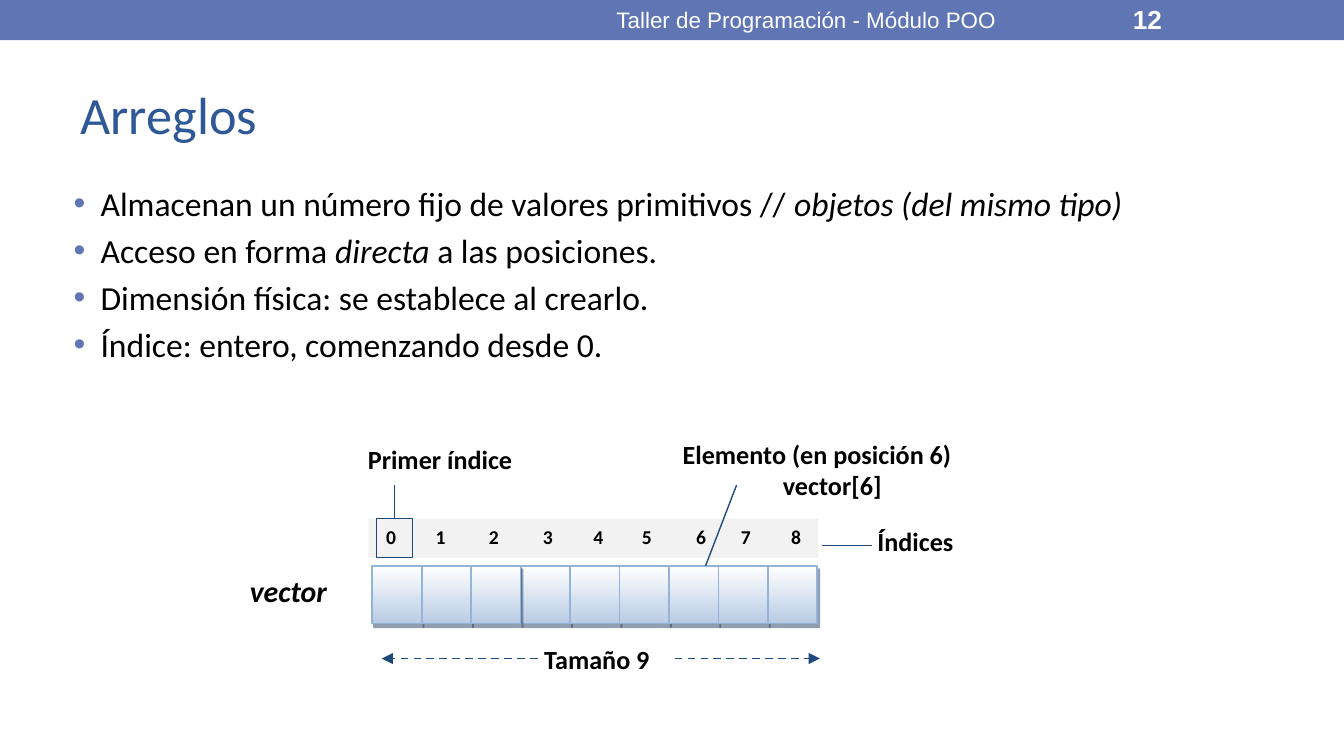
from dataclasses import dataclass
from typing import NamedTuple

from lxml import etree
from pptx import Presentation
from pptx.dml.color import RGBColor
from pptx.enum.dml import MSO_LINE
from pptx.enum.shapes import MSO_CONNECTOR, MSO_SHAPE
from pptx.enum.text import MSO_ANCHOR, PP_ALIGN
from pptx.oxml.ns import qn
from pptx.util import Pt

RECT = MSO_SHAPE.RECTANGLE
STRAIGHT = MSO_CONNECTOR.STRAIGHT
DASH = MSO_LINE.DASH
TOP, MIDDLE = MSO_ANCHOR.TOP, MSO_ANCHOR.MIDDLE
LEFT, CENTER = PP_ALIGN.LEFT, PP_ALIGN.CENTER


@dataclass(frozen=True)
class Theme:
    band: str = "6076B4"
    title: str = "2F5897"
    ink: str = "000000"
    white: str = "FFFFFF"
    rule: str = "1F497D"
    strip: str = "F2F2F2"
    cell_end: str = "B8CCE4"
    cell_edge: str = "95B3D7"
    cell_shadow: str = "243F60"
    body_font: str = "Calibri"
    header_font: str = "Arial"
    title_size: float = 28
    body_size: float = 18
    name_size: float = 16
    label_size: float = 14
    header_size: float = 12
    index_size: float = 10.5


THEME = Theme()


class Box(NamedTuple):
    left: float
    top: float
    width: float
    height: float


class Run(NamedTuple):
    text: str
    size: float = THEME.label_size
    bold: bool = False
    italic: bool = False
    color: str = THEME.ink
    font: str = THEME.body_font


class Label(NamedTuple):
    box: Box
    run: Run
    anchor: MSO_ANCHOR = TOP
    align: PP_ALIGN = LEFT


class Line(NamedTuple):
    start: tuple[float, float]
    end: tuple[float, float]
    width: float = 0.75
    dashed_arrow: bool = False


def rgb(color: str) -> RGBColor:
    return RGBColor.from_string(color)


def place(shape, box: Box) -> None:
    shape.left, shape.top, shape.width, shape.height = map(Pt, box)


def add_run(paragraph, spec: Run) -> None:
    run = paragraph.add_run()
    run.text = spec.text
    font = run.font
    font.name, font.size = spec.font, Pt(spec.size)
    font.bold, font.italic = spec.bold, spec.italic
    font.color.rgb = rgb(spec.color)


def add_label(shapes, label: Label):
    frame = shapes.add_textbox(*map(Pt, label.box)).text_frame
    frame.word_wrap = True
    frame.vertical_anchor = label.anchor
    frame.paragraphs[0].alignment = label.align
    add_run(frame.paragraphs[0], label.run)
    return frame


def add_rect(shapes, box: Box):
    rect = shapes.add_shape(RECT, *map(Pt, box))
    rect.shadow.inherit = False
    return rect


def add_line(shapes, line: Line):
    connector = shapes.add_connector(STRAIGHT, *map(Pt, line.start + line.end))
    connector.line.color.rgb = rgb(THEME.rule)
    connector.line.width = Pt(line.width)
    properties = connector._element.spPr
    if line.dashed_arrow:
        connector.line.dash_style = DASH
        etree.SubElement(properties.find(qn("a:ln")), qn("a:tailEnd"), type="triangle")
    etree.SubElement(properties, qn("a:effectLst"))
    return connector


def add_cell(shapes, box: Box) -> None:
    cell = add_rect(shapes, box)
    cell.fill.gradient()
    cell.fill.gradient_angle = 270
    for stop, color in zip(cell.fill.gradient_stops, (THEME.white, THEME.cell_end)):
        stop.color.rgb = rgb(color)
    cell.line.color.rgb = rgb(THEME.cell_edge)
    cell.line.width = Pt(1)
    effects = cell._element.spPr.find(qn("a:effectLst"))
    shadow = etree.SubElement(effects, qn("a:outerShdw"), blurRad="0", dist=str(Pt(2.2)),
                              dir=str(63 * 60000), algn="ctr", rotWithShape="0")
    tint = etree.SubElement(shadow, qn("a:srgbClr"), val=THEME.cell_shadow)
    etree.SubElement(tint, qn("a:alpha"), val="50000")


def set_bullet(paragraph) -> None:
    properties = paragraph._p.get_or_add_pPr()
    properties.set("marL", str(Pt(14.4)))
    properties.set("indent", str(Pt(-14.4)))
    color = etree.SubElement(properties, qn("a:buClr"))
    etree.SubElement(color, qn("a:srgbClr"), val=THEME.band)
    etree.SubElement(properties, qn("a:buFont"), typeface=THEME.header_font)
    etree.SubElement(properties, qn("a:buChar"), char="•")


def body(text: str, italic: bool = False) -> Run:
    return Run(text, THEME.body_size, italic=italic)


BULLETS = [
    [body("Almacenan un número fijo de valores primitivos // "),
     body("objetos (del mismo tipo)", True)],
    [body("Acceso en forma "), body("directa ", True), body("a las posiciones.")],
    [body("Dimensión física: se establece al crearlo.")],
    [body("Índice: entero, comenzando desde 0.")],
]
HEADER = [
    Label(Box(599.8, 0.7, 84.2, 19.4),
          Run("12", THEME.label_size, True, color=THEME.white, font=THEME.header_font), MIDDLE),
    Label(Box(270, 0.7, 324, 19.4),
          Run("Taller de Programación - Módulo POO", THEME.header_size,
              color=THEME.white, font=THEME.header_font), MIDDLE, CENTER),
]
DIAGRAM_LABELS = [
    Label(Box(463, 278, 93.6, 33.8), Run("Índices", bold=True)),
    Label(Box(284.4, 341.3, 94.3, 33.8), Run("Tamaño 9", bold=True)),
    Label(Box(190, 234, 122.4, 26), Run("Primer índice", bold=True)),
    Label(Box(126.7, 303.1, 56.2, 26), Run("vector", THEME.name_size, True, True)),
]
LINES = [
    Line((440.6, 292.3), (467.3, 292.3)),
    Line((288, 352.8), (204.5, 352.8), 1, True),
    Line((361.4, 352.8), (439.2, 352.8), 1, True),
    Line((378, 303.1), (394.6, 259.9)),
]
INDEX_TABS = (26.5, 55, 84, 111, 137, 166, 190, 217)
CELL_LEFT, CELL_TOP, CELL_PITCH, CELL_HEIGHT = 199.4, 303.1, 26.5, 31
CELL_ORDER = (3, 4, 5, 0, 1, 2, 6, 7, 8)


def main() -> None:
    deck = Presentation()
    deck.slide_width, deck.slide_height = Pt(720), Pt(405)
    slide = deck.slides.add_slide(deck.slide_layouts[5])
    shapes = slide.shapes

    # Header band and title
    band = add_rect(shapes, Box(0, 0, 720, 21.6))
    band.fill.solid()
    band.fill.fore_color.rgb = rgb(THEME.band)
    band.line.fill.background()
    place(shapes.title, Box(36, 31.7, 648, 58.3))
    heading = shapes.title.text_frame
    heading.vertical_anchor = MIDDLE
    heading.paragraphs[0].alignment = LEFT
    add_run(heading.paragraphs[0], Run("Arreglos", THEME.title_size, color=THEME.title))
    for label in HEADER:
        add_label(shapes, label)

    # Bulleted properties of arrays
    points = shapes.add_textbox(*map(Pt, Box(32.4, 94.3, 687.6, 288))).text_frame
    points.word_wrap = True
    for number, runs in enumerate(BULLETS):
        paragraph = points.add_paragraph() if number else points.paragraphs[0]
        paragraph.space_before = Pt(3.6 if number else 0)
        set_bullet(paragraph)
        for run in runs:
            add_run(paragraph, run)

    # Index strip, one tab stop per index after the first
    strip = add_rect(shapes, Box(197.3, 277.9, 241.2, 20.9))
    strip.fill.solid()
    strip.fill.fore_color.rgb = rgb(THEME.strip)
    strip.line.fill.background()
    strip.text_frame.vertical_anchor = TOP
    strip.text_frame.margin_right = 0
    indices = strip.text_frame.paragraphs[0]
    indices.alignment = LEFT
    properties = indices._p.get_or_add_pPr()
    properties.set("marL", str(Pt(2.5)))
    tabs = etree.SubElement(properties, qn("a:tabLst"))
    for position in INDEX_TABS:
        etree.SubElement(tabs, qn("a:tab"), pos=str(Pt(position)), algn="l")
    add_run(indices, Run("\t".join(map(str, range(9))), THEME.index_size, True))

    # Array cells
    for index in CELL_ORDER:
        add_cell(shapes, Box(CELL_LEFT + index * CELL_PITCH, CELL_TOP, CELL_PITCH, CELL_HEIGHT))

    # First index marker with its pointer
    first_index = add_rect(shapes, Box(201.6, 277.9, 19.4, 20.9))
    first_index.fill.background()
    first_index.line.color.rgb = rgb(THEME.rule)
    first_index.line.width = Pt(0.75)
    pointer = add_line(shapes, Line((211.3, 277.9), (211.3, 259.9)))
    pointer.begin_connect(first_index, 0)

    # Remaining lines and labels
    for line in LINES:
        add_line(shapes, line)
    for label in DIAGRAM_LABELS:
        add_label(shapes, label)
    element = add_label(shapes, Label(Box(358.6, 231.1, 236.2, 46.1),
                                      Run("Elemento (en posición 6)", bold=True)))
    access = element.add_paragraph()
    access._p.get_or_add_pPr().set("marL", str(Pt(53.7)))
    add_run(access, Run("vector[6]", bold=True))

    deck.save("out.pptx")


if __name__ == "__main__":
    main()
